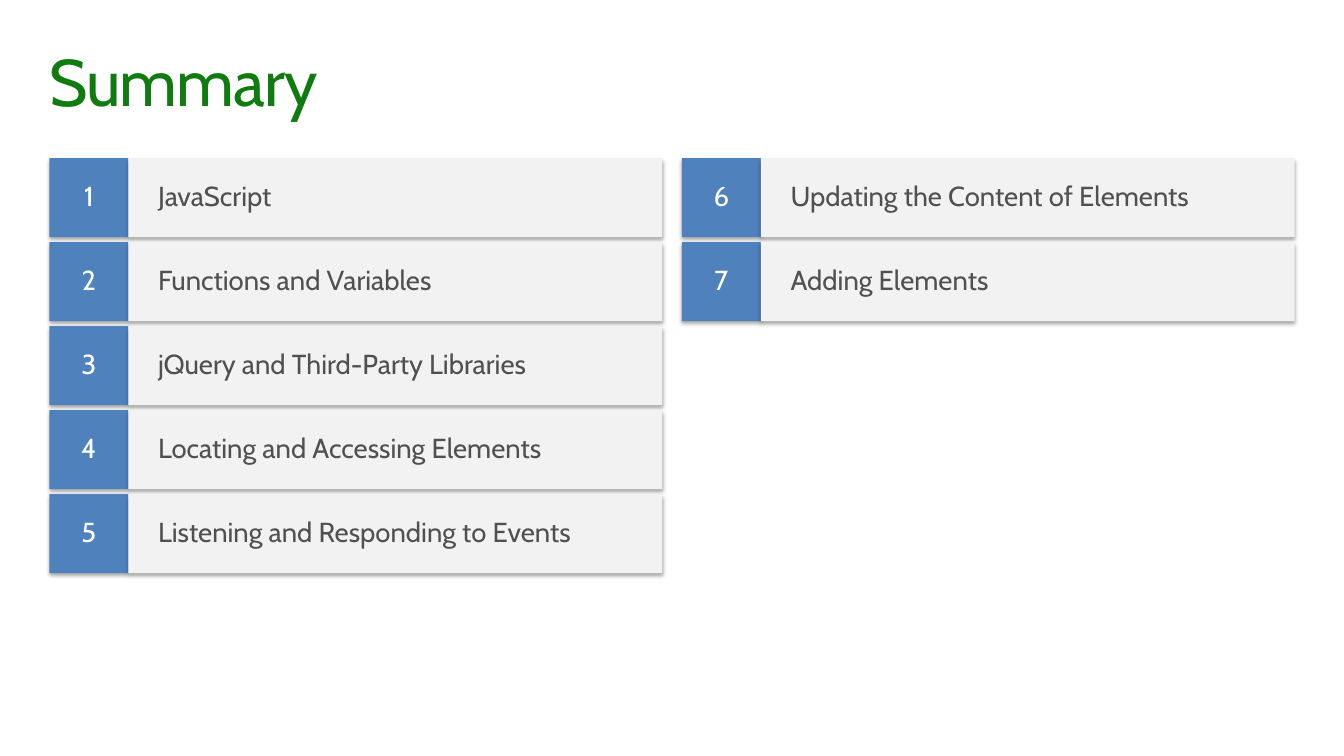
from lxml.etree import SubElement
from pptx import Presentation
from pptx.dml.color import RGBColor
from pptx.enum.shapes import MSO_SHAPE
from pptx.enum.text import MSO_ANCHOR, PP_ALIGN
from pptx.oxml.ns import qn
from pptx.util import Pt

GREEN = RGBColor(0x10, 0x7C, 0x10)
BLUE = RGBColor(0x4F, 0x81, 0xBD)
PALE_GREY = RGBColor(0xF2, 0xF2, 0xF2)
DARK_GREY = RGBColor(0x50, 0x50, 0x50)
WHITE = RGBColor(0xFF, 0xFF, 0xFF)
BLACK = RGBColor(0x00, 0x00, 0x00)

FONT = "Cabin"
TOPICS = [
    "JavaScript",
    "Functions and Variables",
    "jQuery and Third-Party Libraries",
    "Locating and Accessing Elements",
    "Listening and Responding to Events",
    "Updating the Content of Elements",
    "Adding Elements",
]

# Agenda grid, in points
ROWS_PER_COLUMN = 5
GRID_LEFT, GRID_TOP = 36, 115.2
COLUMN_STEP, ROW_STEP = 460.8, 61.2
NUMBER_SIZE, TOPIC_WIDTH = 57.6, 388.8


def write_text(shape, text, size, color, inset_x, inset_y, align=PP_ALIGN.LEFT):
    frame = shape.text_frame
    frame.word_wrap = True
    frame.margin_left = frame.margin_right = Pt(inset_x)
    frame.margin_top = frame.margin_bottom = Pt(inset_y)
    paragraph = frame.paragraphs[0]
    paragraph.text = text
    paragraph.alignment = align
    paragraph.line_spacing = 0.9
    paragraph.font.name = FONT
    paragraph.font.size = Pt(size)
    paragraph.font.color.rgb = color
    return paragraph


def add_soft_shadow(shape):
    shape.shadow.inherit = False
    effects = shape._element.spPr.find(qn("a:effectLst"))
    shadow = SubElement(effects, qn("a:outerShdw"), blurRad=str(Pt(3.1)),
                        dist=str(Pt(1.8)), dir="5400000", rotWithShape="0")
    shade = SubElement(shadow, qn("a:srgbClr"), val=str(BLACK))
    SubElement(shade, qn("a:alpha"), val="35000")


def add_tile(slide, left, top, width, fill):
    tile = slide.shapes.add_shape(MSO_SHAPE.RECTANGLE, Pt(left), Pt(top),
                                  Pt(width), Pt(NUMBER_SIZE))
    tile.fill.solid()
    tile.fill.fore_color.rgb = fill
    tile.line.fill.background()
    tile.text_frame.vertical_anchor = MSO_ANCHOR.MIDDLE
    add_soft_shadow(tile)
    return tile


def add_topic(slide, index, topic):
    column, row = divmod(index, ROWS_PER_COLUMN)
    left = GRID_LEFT + column * COLUMN_STEP
    top = GRID_TOP + row * ROW_STEP
    number_tile = add_tile(slide, left, top, NUMBER_SIZE, BLUE)
    write_text(number_tile, str(index + 1), 20, WHITE, 14.4, 11.52, PP_ALIGN.CENTER)
    topic_tile = add_tile(slide, left + NUMBER_SIZE, top, TOPIC_WIDTH, PALE_GREY)
    write_text(topic_tile, topic, 20, DARK_GREY, 21.6, 7.2)


def add_title(slide, text):
    title = slide.shapes.add_textbox(Pt(28.8), Pt(28.8), Pt(921.6), Pt(72))
    paragraph = write_text(title, text, 48, GREEN, 7.2, 7.2)
    # Slightly tightened letter spacing
    paragraph.runs[0]._r.get_or_add_rPr().set("spc", "-70")


def main():
    presentation = Presentation()
    presentation.slide_width = Pt(979.2)
    presentation.slide_height = Pt(550.8)
    slide = presentation.slides.add_slide(presentation.slide_layouts[6])

    # Heading
    add_title(slide, "Summary")

    # Numbered topics, filled column by column
    for index, topic in enumerate(TOPICS):
        add_topic(slide, index, topic)

    presentation.save("out.pptx")


if __name__ == "__main__":
    main()
